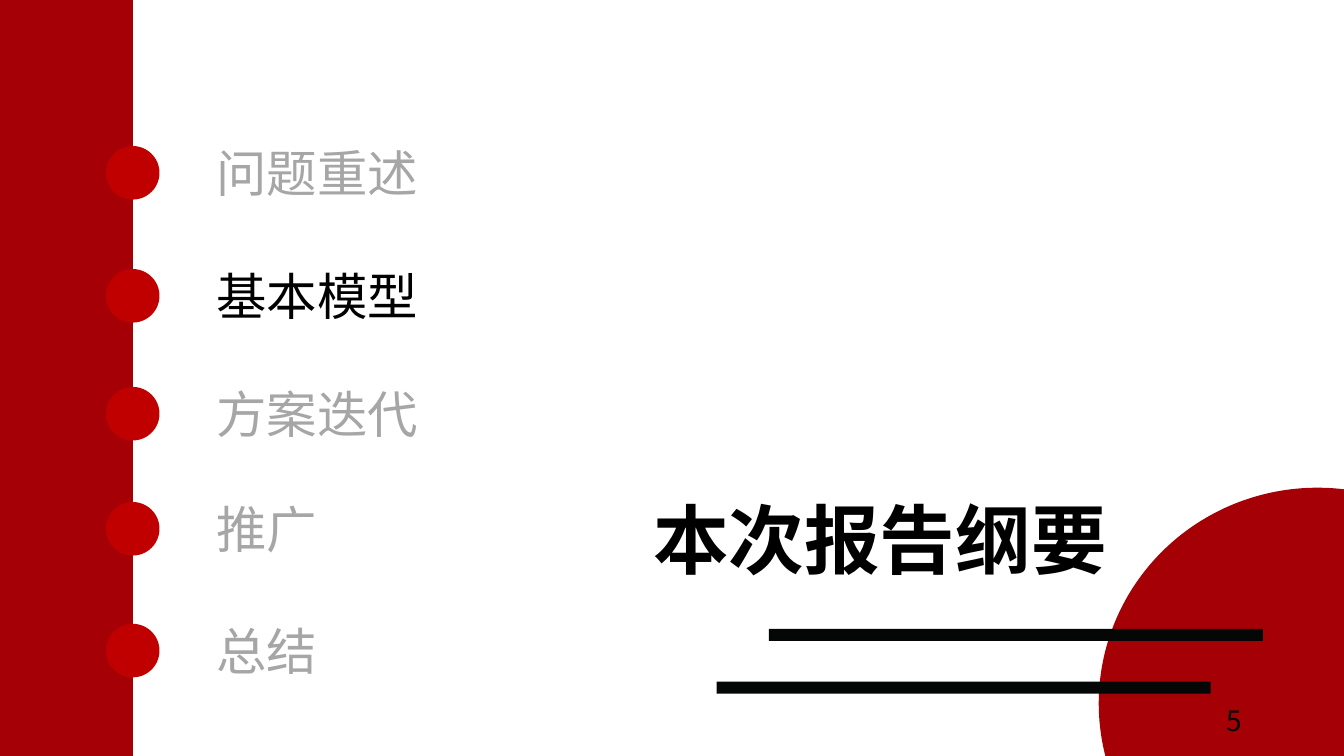
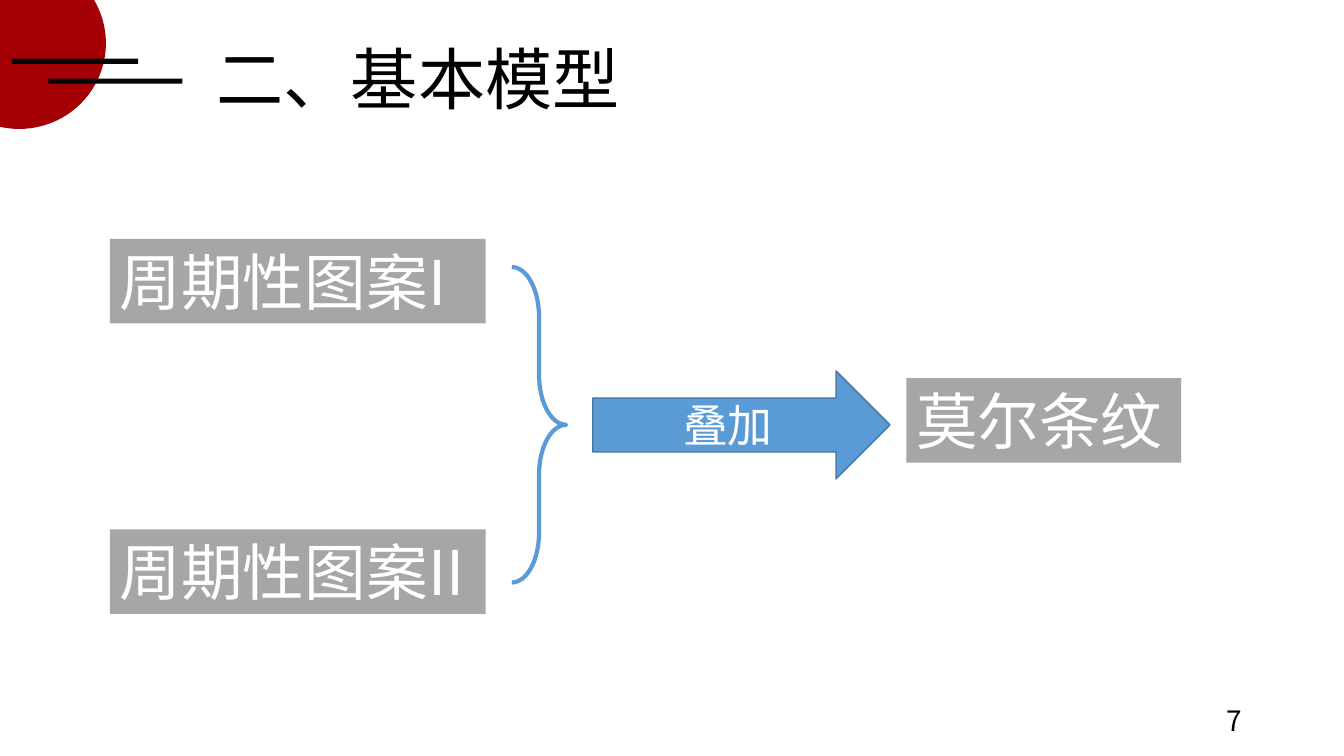
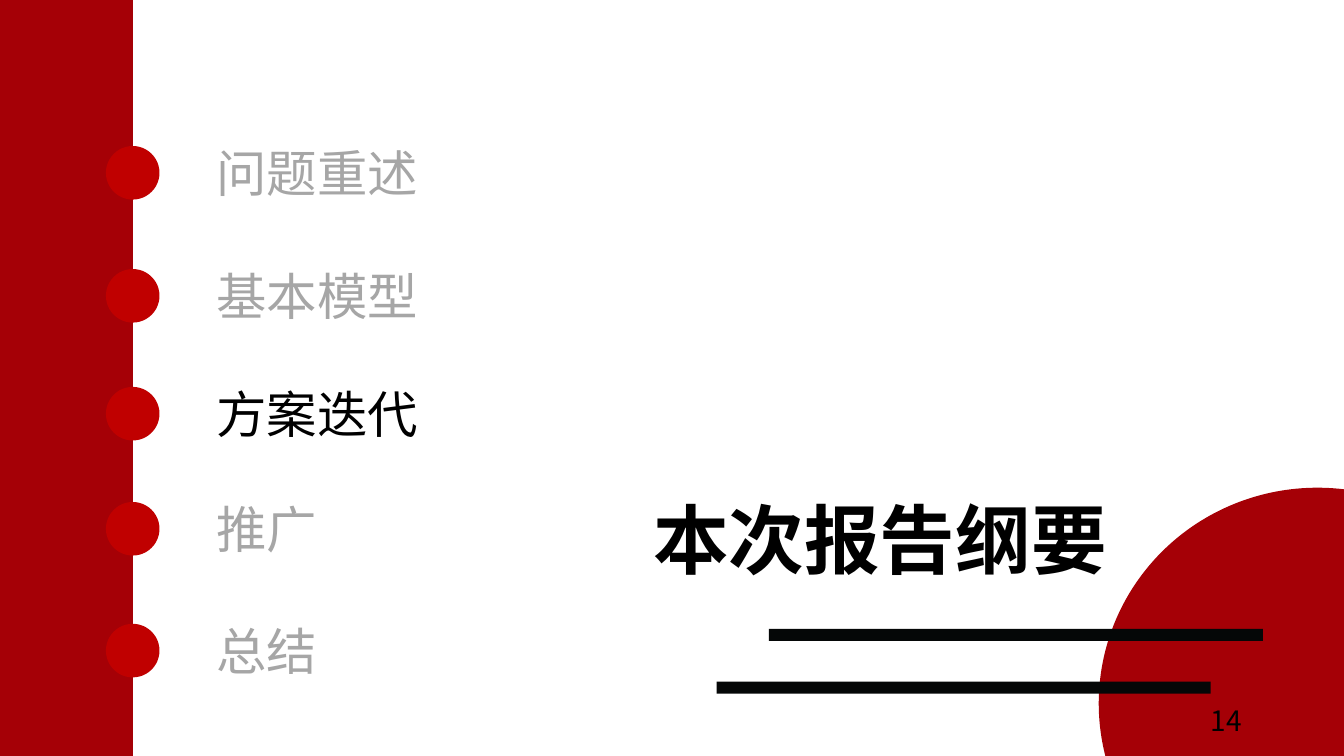
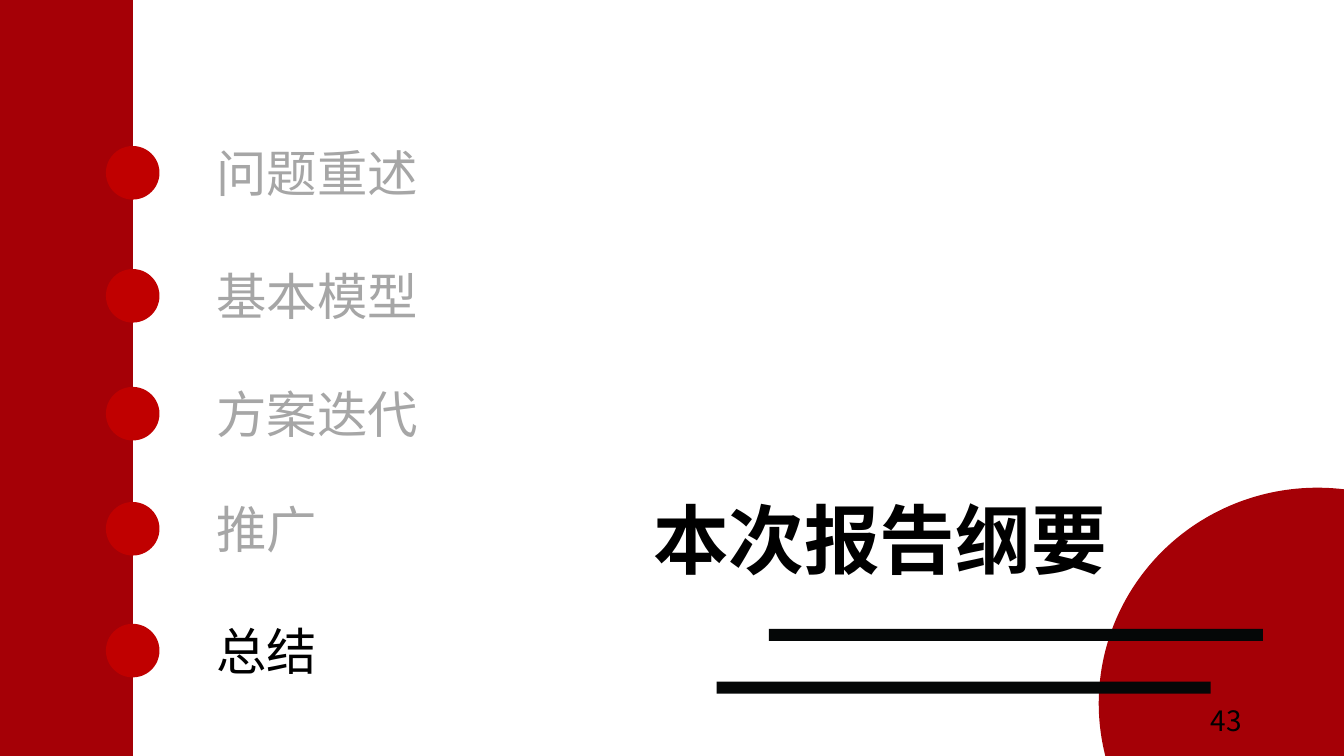
from dataclasses import dataclass

from lxml.etree import SubElement
from pptx import Presentation
from pptx.dml.color import RGBColor as Rgb
from pptx.enum.shapes import MSO_SHAPE as Shape
from pptx.enum.text import MSO_ANCHOR as Anchor, PP_ALIGN as Align
from pptx.oxml.ns import qn
from pptx.util import Cm, Pt


@dataclass(frozen=True)
class Theme:
    font: str = "Noto Sans CJK SC"
    dark_red: Rgb = Rgb(0xA5, 0x00, 0x06)
    red: Rgb = Rgb(0xC0, 0x00, 0x00)
    bar: Rgb = Rgb(0x05, 0x07, 0x07)
    black: Rgb = Rgb(0x00, 0x00, 0x00)
    gray: Rgb = Rgb(0xA6, 0xA6, 0xA6)
    white: Rgb = Rgb(0xFF, 0xFF, 0xFF)
    blue: Rgb = Rgb(0x5B, 0x9B, 0xD5)
    blue_edge: Rgb = Rgb(0x43, 0x73, 0x9E)
    outline_title: Pt = Pt(54)
    section_title: Pt = Pt(48)
    box_text: Pt = Pt(44)
    outline_item: Pt = Pt(36)
    arrow_text: Pt = Pt(32)
    page_number: Pt = Pt(20)


THEME = Theme()
SLIDE_WIDTH, SLIDE_HEIGHT = 33.87, 19.05
DOT_SIZE = 1.35
OUTLINE = {
    "问题重述": 3.68,
    "基本模型": 6.78,
    "方案迭代": 9.75,
    "推广": 12.65,
    "总结": 15.72,
}


def set_attributes(target, values):
    for name, value in values.items():
        setattr(target, name, value)


def write_text(shape, text, size, color, align=Align.LEFT, anchor=Anchor.TOP, bold=False, **frame_format):
    frame = shape.text_frame
    set_attributes(frame, {"word_wrap": True, "vertical_anchor": anchor, **frame_format})
    paragraph = frame.paragraphs[0]
    paragraph.alignment = align
    run = paragraph.add_run()
    run.text = text
    set_attributes(run.font, {"name": THEME.font, "size": size, "bold": bold})
    run.font.color.rgb = color
    # Chinese characters take the East Asian typeface.
    SubElement(run.font._element, qn("a:ea"), typeface=THEME.font)


def add_text(slide, box, text, size, color=THEME.black, **text_format):
    shape = slide.shapes.add_textbox(*map(Cm, box))
    write_text(shape, text, size, color, **text_format)


def add_figure(slide, kind, box, fill=None, line=None, line_width=1):
    shape = slide.shapes.add_shape(kind, *map(Cm, box))
    shape.shadow.inherit = False
    if fill is None:
        shape.fill.background()
    else:
        shape.fill.solid()
        shape.fill.fore_color.rgb = fill
    if line is None:
        shape.line.fill.background()
    else:
        shape.line.color.rgb = line
        shape.line.width = Pt(line_width)
    return shape


def add_emblem(slide, circle, bars):
    """Draw the red disc crossed by two dark bars."""
    add_figure(slide, Shape.OVAL, circle, THEME.dark_red)
    for bar in bars:
        add_figure(slide, Shape.RECTANGLE, bar, THEME.bar)


def add_page_number(slide, number):
    add_text(slide, (23.93, 17.65, 7.62, 1.02), str(number), THEME.page_number,
             align=Align.RIGHT, anchor=Anchor.MIDDLE)


def add_label_box(slide, box, text):
    shape = add_figure(slide, Shape.RECTANGLE, box, THEME.gray)
    write_text(shape, text, THEME.box_text, THEME.white, margin_right=0)


def new_slide(presentation):
    return presentation.slides.add_slide(presentation.slide_layouts[6])


def build_outline_slide(presentation, current, number):
    """Show the report outline with the current section in black."""
    slide = new_slide(presentation)
    add_emblem(slide, (27.69, 12.29, 11.02, 10.87),
               [(18.06, 17.18, 12.45, 0.3), (19.38, 15.85, 12.45, 0.3)])
    add_figure(slide, Shape.RECTANGLE, (0, 0, 3.35, SLIDE_HEIGHT), THEME.dark_red)
    for item, top in OUTLINE.items():
        add_figure(slide, Shape.OVAL, (2.67, top, DOT_SIZE, DOT_SIZE), THEME.red)
        add_text(slide, (5.2, top - 0.23, 10.49, 1.8), item, THEME.outline_item,
                 THEME.black if item == current else THEME.gray)
    add_text(slide, (16.21, 12.29, 12.45, 2.57), "本次报告纲要", THEME.outline_title, bold=True)
    add_page_number(slide, number)


def build_model_slide(presentation, number):
    slide = new_slide(presentation)
    add_emblem(slide, (-1.7, -1.07, 4.37, 4.32),
               [(1.22, 1.98, 3.38, 0.13), (0.3, 1.48, 3.18, 0.13)])
    add_text(slide, (3.48, 0.81, 14.12, 2.31), "二、基本模型", THEME.section_title, align=Align.CENTER)
    for text, box in {
        "莫尔条纹": (22.84, 9.53, 6.93, 2.13),
        "周期性图案II": (2.77, 13.34, 9.47, 2.13),
        "周期性图案I": (2.77, 6.02, 9.47, 2.13),
    }.items():
        add_label_box(slide, box, text)
    brace = add_figure(slide, Shape.RIGHT_BRACE, (12.9, 6.73, 1.37, 7.95),
                       line=THEME.blue, line_width=3)
    brace.adjustments[0] = 0.92
    arrow = add_figure(slide, Shape.RIGHT_ARROW, (14.94, 9.35, 7.49, 2.72), THEME.blue, THEME.blue_edge)
    write_text(arrow, "叠加", THEME.arrow_text, THEME.white, align=Align.CENTER, anchor=Anchor.MIDDLE)
    add_page_number(slide, number)


def main():
    presentation = Presentation()
    set_attributes(presentation, {"slide_width": Cm(SLIDE_WIDTH), "slide_height": Cm(SLIDE_HEIGHT)})
    build_outline_slide(presentation, "基本模型", 5)
    build_model_slide(presentation, 7)
    build_outline_slide(presentation, "方案迭代", 14)
    build_outline_slide(presentation, "总结", 43)
    presentation.save("out.pptx")


if __name__ == "__main__":
    main()
